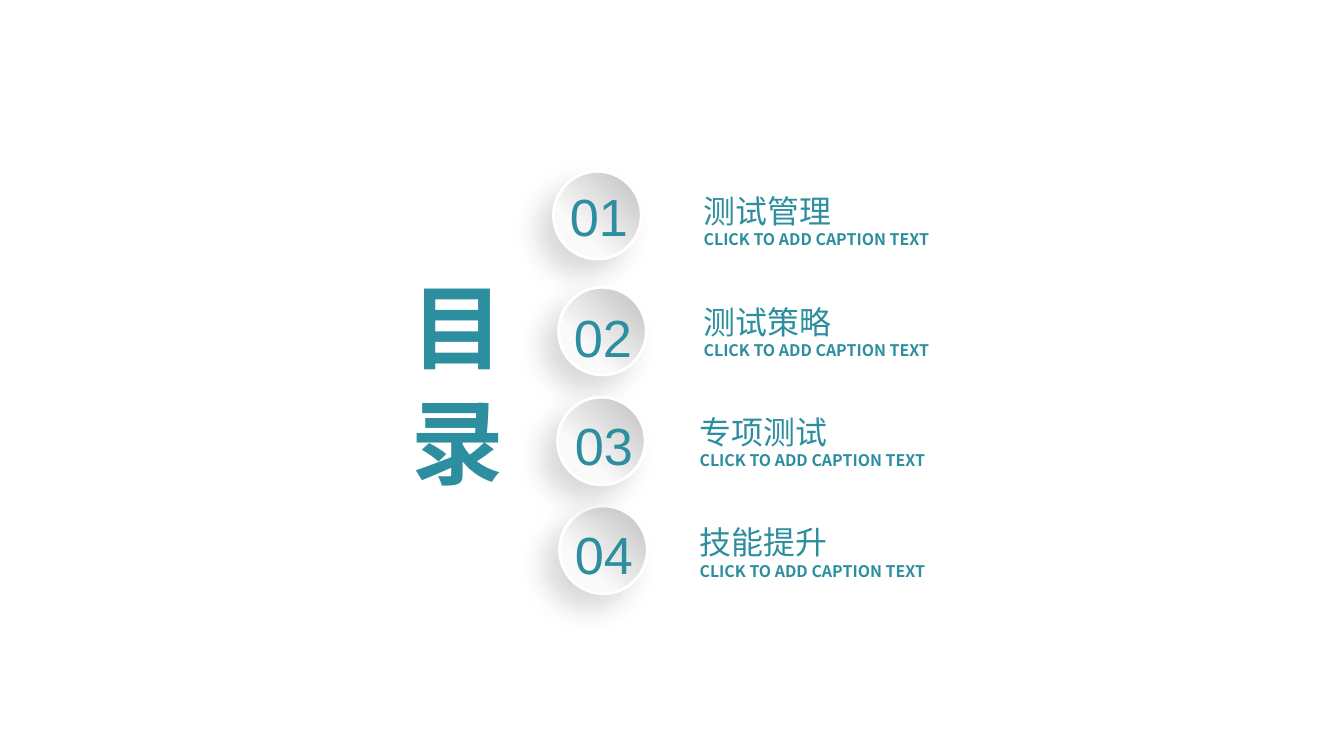
"""Build a contents slide with four numbered sections."""
from copy import deepcopy
from dataclasses import dataclass

from lxml.etree import SubElement
from pptx import Presentation
from pptx.dml.color import RGBColor
from pptx.enum.shapes import MSO_SHAPE
from pptx.enum.text import MSO_ANCHOR, MSO_AUTO_SIZE, PP_ALIGN
from pptx.oxml.ns import qn
from pptx.shapes.autoshape import Shape
from pptx.shapes.shapetree import GroupShapes, SlideShapes
from pptx.text.text import _Paragraph
from pptx.util import Inches, Pt

TEAL = RGBColor(0x2C, 0x8E, 0x9E)
WHITE = RGBColor(0xFF, 0xFF, 0xFF)
GREY = RGBColor(0xBF, 0xBF, 0xBF)
PALE = RGBColor(0xFA, 0xFA, 0xFA)
LATIN_FONT = "Arial"
CHINESE_FONT = "Noto Sans CJK SC"
CAPTION = "CLICK TO ADD CAPTION TEXT"
DIAMETER = 0.87
SHADES = [(0, WHITE), (0, GREY), (0.7, PALE)]


@dataclass(frozen=True)
class Section:
    """One contents entry, with places in inches."""
    number: str
    title: str
    circle_at: tuple[float, float]
    number_at: tuple[float, float]
    label_at: tuple[float, float]


SECTIONS = [
    Section("01", "测试管理", (5.49, 1.7), (5.55, 1.77), (6.88, 1.85)),
    Section("02", "测试策略", (5.54, 2.85), (5.59, 2.97), (6.88, 2.95)),
    Section("04", "技能提升", (5.55, 5.02), (5.6, 5.13), (6.84, 5.14)),
    Section("03", "专项测试", (5.53, 3.94), (5.6, 4.05), (6.84, 4.04)),
]


def add_span(para: _Paragraph, text: str, size: float, font: str, bold: bool = False) -> None:
    """Add one teal run to a paragraph."""
    span = para.add_run()
    span.text = text
    span.font.size = Pt(size)
    span.font.name = font
    span.font.bold = bold
    span.font.color.rgb = TEAL
    east_asian = SubElement(span.font._element, qn("a:ea"))
    east_asian.set("typeface", CHINESE_FONT)


def add_box(shapes: SlideShapes | GroupShapes, place: tuple[float, float],
            width: float, height: float, wrap: bool = False) -> Shape:
    """Add a text box that grows with its text."""
    left, top = place
    box = shapes.add_textbox(Inches(left), Inches(top), Inches(width), Inches(height))
    box.text_frame.word_wrap = wrap
    box.text_frame.auto_size = MSO_AUTO_SIZE.SHAPE_TO_FIT_TEXT
    return box


def add_heading(shapes: SlideShapes) -> None:
    """Add the vertical heading."""
    frame = add_box(shapes, (3.95, 2.79), 1.11, 4.38, wrap=True).text_frame
    frame.margin_left = frame.margin_right = frame.margin_top = frame.margin_bottom = 0
    frame._txBody.bodyPr.set("vert", "eaVert")
    add_span(frame.paragraphs[0], "目 录", 66, LATIN_FONT, bold=True)


def shade(shape: Shape) -> None:
    """Fill a shape with a gradient from grey at the upper right to pale."""
    shape.fill.gradient()
    shape.fill.gradient_angle = 225
    stop_list = shape._element.spPr.find(f".//{qn('a:gsLst')}")
    stop_list.append(deepcopy(stop_list[-1]))
    for stop, (position, color) in zip(shape.fill.gradient_stops, SHADES):
        stop.position = position
        stop.color.rgb = color


def add_soft_shadow(shape: Shape) -> None:
    """Cast a faint shadow towards the lower left."""
    shape.shadow.inherit = False
    effects = shape._element.spPr.find(qn("a:effectLst"))
    shadow = SubElement(effects, qn("a:outerShdw"), blurRad=str(Pt(20)), dist=str(Pt(15)),
                        dir=str(135 * 60000), algn="tr", rotWithShape="0")
    color = SubElement(shadow, qn("a:srgbClr"), val="000000")
    SubElement(color, qn("a:alpha"), val="15000")


def add_badge(shapes: SlideShapes, section: Section) -> None:
    """Add a shaded circle grouped with its number."""
    badge = shapes.add_group_shape()
    left, top = section.circle_at
    circle = badge.shapes.add_shape(MSO_SHAPE.OVAL, Inches(left), Inches(top),
                                    Inches(DIAMETER), Inches(DIAMETER))
    shade(circle)
    circle.line.color.rgb = WHITE
    circle.line.width = Pt(2)
    add_soft_shadow(circle)

    frame = add_box(badge.shapes, section.number_at, 0.78, 0.73).text_frame
    frame.vertical_anchor = MSO_ANCHOR.MIDDLE
    para = frame.paragraphs[0]
    para.alignment = PP_ALIGN.CENTER
    add_span(para, section.number, 37.3, LATIN_FONT)


def add_label(shapes: SlideShapes, section: Section) -> None:
    """Add a section title above its caption."""
    frame = add_box(shapes, section.label_at, 2.62, 0.68).text_frame
    add_span(frame.paragraphs[0], section.title, 22.8, CHINESE_FONT)
    add_span(frame.add_paragraph(), CAPTION, 11.4, CHINESE_FONT, bold=True)


def main() -> None:
    """Build and save the deck."""
    deck = Presentation()
    deck.slide_width = Inches(13.33)
    deck.slide_height = Inches(7.5)
    page = deck.slides.add_slide(deck.slide_layouts[6])
    add_heading(page.shapes)
    for section in SECTIONS:
        add_badge(page.shapes, section)
        add_label(page.shapes, section)
    deck.save("out.pptx")


if __name__ == "__main__":
    main()
